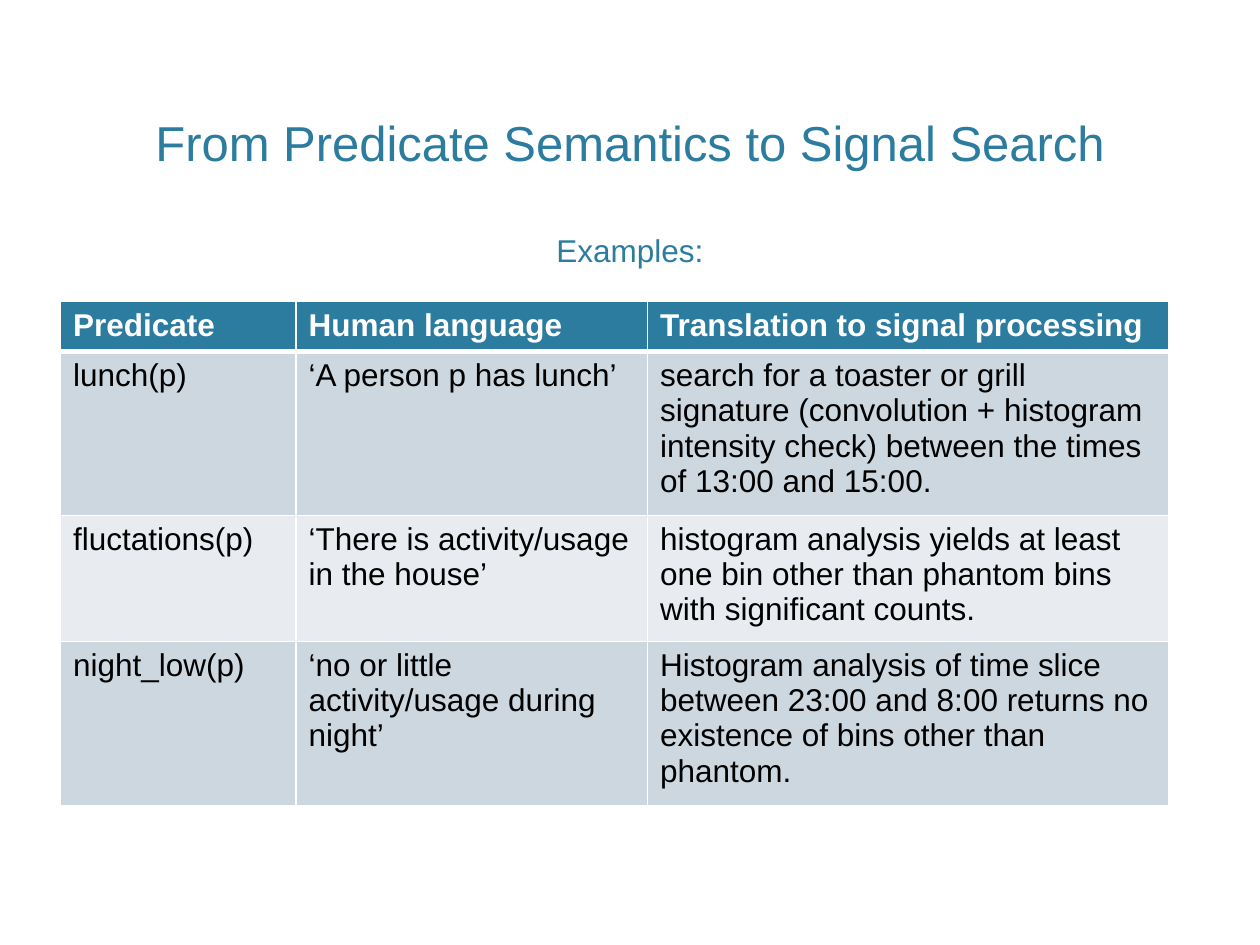
from lxml.etree import SubElement
from pptx import Presentation
from pptx.dml.color import RGBColor
from pptx.enum.text import MSO_ANCHOR, PP_ALIGN
from pptx.oxml.ns import qn
from pptx.util import Inches, Pt

TEAL = RGBColor(0x2C, 0x7C, 0x9F)
WHITE = RGBColor(0xFF, 0xFF, 0xFF)
BLACK = RGBColor(0, 0, 0)
BAND_DARK = RGBColor(0xCD, 0xD7, 0xDF)
BAND_LIGHT = RGBColor(0xE8, 0xEC, 0xF0)
FONT = "Arial"

COLS = [1.87, 2.79, 4.14]
ROWS = [0.4, 1.22, 0.94, 1.22]
CELLS = [
    ("Predicate", "Human language", "Translation to signal processing"),
    ("lunch(p)", "‘A person p has lunch’",
     "search for a toaster or grill signature (convolution + histogram "
     "intensity check) between the times of 13:00 and 15:00."),
    ("fluctations(p)", "‘There is activity/usage in the house’",
     "histogram analysis yields at least one bin other than phantom bins "
     "with significant counts."),
    ("night_low(p)", "‘no or little activity/usage during night’",
     "Histogram analysis of time slice between 23:00 and 8:00 returns no "
     "existence of bins other than phantom."),
]


def add_run(p, text, size, color, bold=False):
    r = p.add_run()
    r.text = text
    r.font.name, r.font.size, r.font.bold = FONT, Pt(size), bold
    r.font.color.rgb = color


def add_heading(s, title, subtitle):
    tf = s.shapes.add_textbox(Inches(0.6), Inches(1.26),
                              Inches(8.8), Inches(0.92)).text_frame
    tf.word_wrap = True
    tf.vertical_anchor = MSO_ANCHOR.BOTTOM
    p = tf.paragraphs[0]
    add_run(p, title, 28, TEAL)
    p.alignment = PP_ALIGN.CENTER
    p = tf.add_paragraph()
    p.space_before = Pt(34)
    p.alignment = PP_ALIGN.CENTER
    add_run(p, subtitle, 18, TEAL)


def set_borders(cell, widths):
    """Draw white borders; widths are points for left, right, top, bottom."""
    tc_pr = cell._tc.get_or_add_tcPr()
    for i, (side, width) in enumerate(zip("LRTB", widths)):
        ln = SubElement(tc_pr, qn(f"a:ln{side}"), w=str(Pt(width)))
        fill = SubElement(ln, qn("a:solidFill"))
        SubElement(fill, qn("a:srgbClr"), val=str(WHITE))
        tc_pr.insert(i, ln)  # borders come before the fill


def add_predicate_table(s):
    table = s.shapes.add_table(len(ROWS), len(COLS), Inches(0.48), Inches(2.39),
                               Inches(sum(COLS)), Inches(sum(ROWS))).table
    for col, width in zip(table.columns, COLS):
        col.width = Inches(width)
    for i, (height, texts) in enumerate(zip(ROWS, CELLS)):
        table.rows[i].height = Inches(height)
        header = i == 0
        band = TEAL if header else (BAND_LIGHT, BAND_DARK)[i % 2]
        # The heavy rule lies between the header and the first body row
        borders = (1, 1, 3 if i == 1 else 1, 3 if header else 1)
        for j, text in enumerate(texts):
            cell = table.cell(i, j)
            cell.fill.solid()
            cell.fill.fore_color.rgb = band
            set_borders(cell, borders)
            add_run(cell.text_frame.paragraphs[0], text, 18,
                    WHITE if header else BLACK, header)


def main():
    prs = Presentation()
    prs.slide_width, prs.slide_height = Inches(10), Inches(7.5)
    s = prs.slides.add_slide(prs.slide_layouts[6])
    # Title with its subtitle, then the examples
    add_heading(s, "From Predicate Semantics to Signal Search", "Examples:")
    add_predicate_table(s)
    prs.save("out.pptx")


if __name__ == "__main__":
    main()
